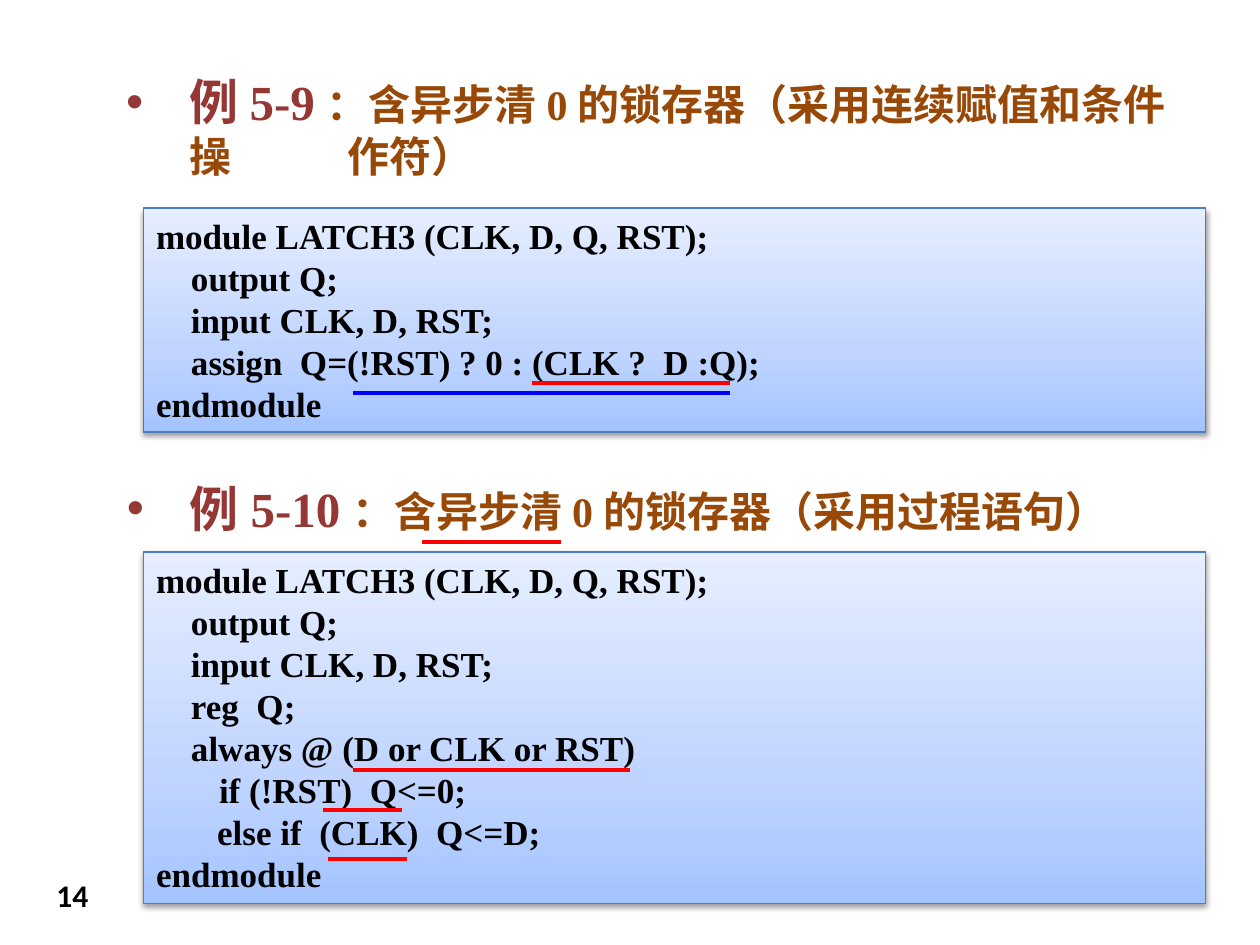
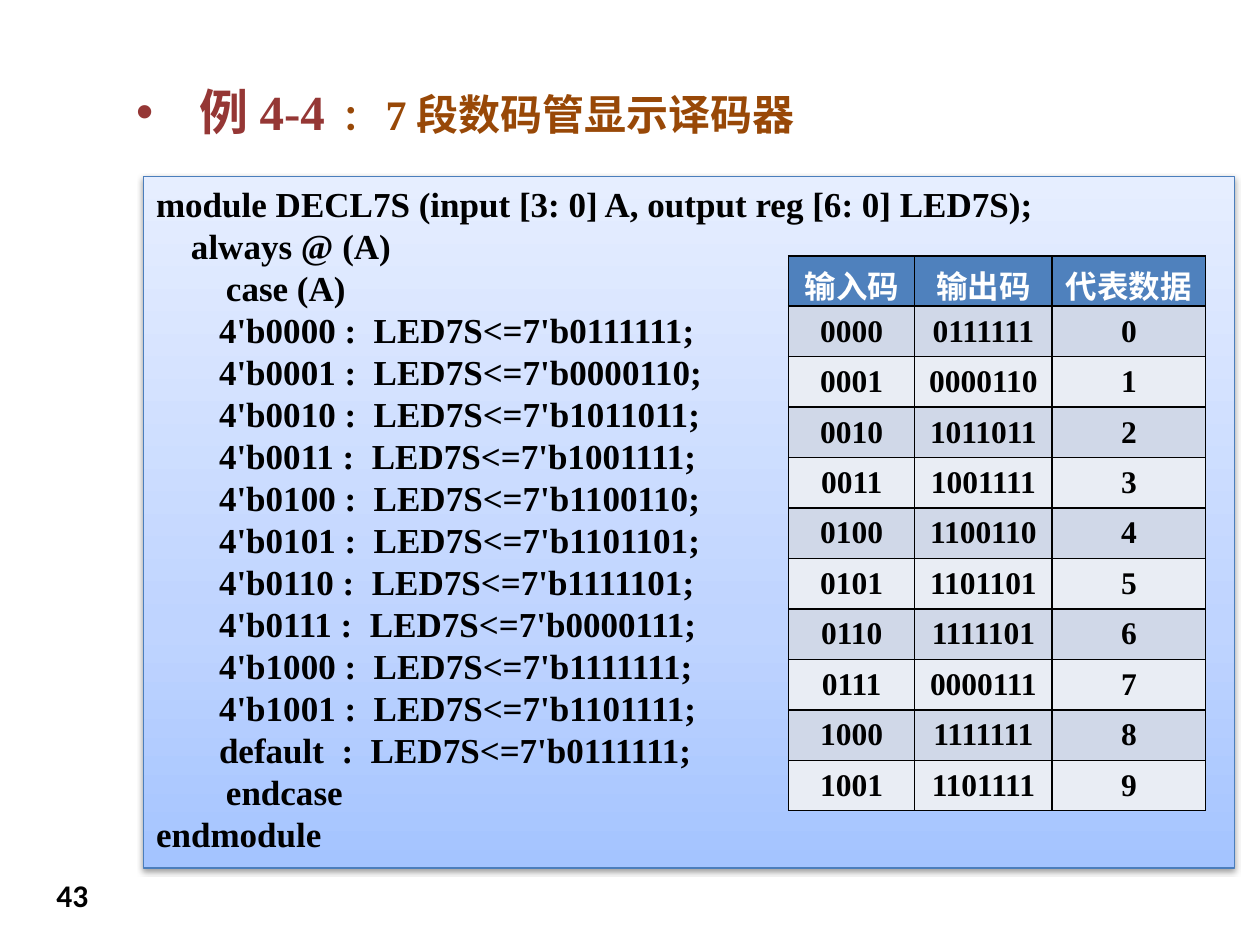
import copy

import lxml.etree
import pptx
import pptx.dml.color
import pptx.enum.shapes
import pptx.enum.text
import pptx.oxml.ns
import pptx.util

COLORS = {
    "label": "953735", "heading": "984807", "ink": "000000", "white": "FFFFFF",
    "red": "FF0000", "blue": "0000FF", "code_line": "4B7EBC",
    "header": "4F81BD", "band_dark": "D0D8E8", "band_light": "E9EDF4",
}
CODE_GRADIENT = [(0, "A4C4FF"), (0.35, "BFD4FF"), (1, "E6EEFF")]
SERIF = "Times New Roman"
SANS = "Calibri"
# The slide is a grid of 100 columns by 75 rows
COLUMNS, ROWS = 100, 75
CODE_LEFT = 11.4

LATCH_ASSIGN = [
    "module LATCH3 (CLK, D, Q, RST);",
    "    output Q;",
    "    input CLK, D, RST;",
    "    assign  Q=(!RST) ? 0 : (CLK ?  D :Q);",
    "endmodule",
]
LATCH_ALWAYS = LATCH_ASSIGN[:3] + [
    "    reg  Q;",
    "    always @ (D or CLK or RST)",
    "\tif (!RST)  Q<=0;",
    "       else if  (CLK)  Q<=D;",
    "endmodule",
]
# Seven-segment pattern of each digit from 0 to 9
SEGMENTS = ["0111111", "0000110", "1011011", "1001111", "1100110",
            "1101101", "1111101", "0000111", "1111111", "1101111"]
DECODER = [
    "module DECL7S (input [3: 0] A, output reg [6: 0] LED7S);",
    "    always @ (A)",
    "        case (A)",
    *[f"\t4'b{digit:04b} :  LED7S<=7'b{pattern};"
      for digit, pattern in enumerate(SEGMENTS)],
    "\tdefault  :  LED7S<=7'b0111111;",
    "        endcase",
    "endmodule",
]


def rgb(name):
    return pptx.dml.color.RGBColor.from_string(COLORS.get(name, name))


def child(parent, tag, **attributes):
    return lxml.etree.SubElement(parent, pptx.oxml.ns.qn(tag), attributes)


class Lesson:
    """Holds the shared style and the slide being filled."""

    def __init__(self):
        self.deck = pptx.Presentation()
        self.deck.slide_width = pptx.util.Inches(10)
        self.deck.slide_height = pptx.util.Inches(7.5)
        self.slide = None

    def x(self, columns):
        return round(self.deck.slide_width * columns / COLUMNS)

    def y(self, rows):
        return round(self.deck.slide_height * rows / ROWS)

    def area(self, left, top, width, height):
        return self.x(left), self.y(top), self.x(width), self.y(height)

    def new_slide(self, number):
        self.slide = self.deck.slides.add_slide(self.deck.slide_layouts[5])
        box = self.slide.shapes.add_textbox(*self.area(3.5, 69, 6.3, 4.5))
        self.span(box.text_frame.paragraphs[0], str(number), 18, "ink", SANS)

    def span(self, para, text, size, color, font=SERIF):
        span = para.add_run()
        span.text = text
        span.font.name = font
        span.font.size = pptx.util.Pt(size)
        span.font.bold = True
        span.font.color.rgb = rgb(color)

    def prepare_frame(self, frame):
        frame.word_wrap = True
        frame.auto_size = pptx.enum.text.MSO_AUTO_SIZE.NONE
        frame.vertical_anchor = pptx.enum.text.MSO_ANCHOR.TOP

    def heading(self, box, place, label, spans, tab=None):
        box.left, box.top, box.width, box.height = self.area(*place)
        self.prepare_frame(box.text_frame)
        para = box.text_frame.paragraphs[0]
        para.alignment = pptx.enum.text.PP_ALIGN.LEFT
        # Hanging bullet, with an optional tab stop
        properties = para._p.get_or_add_pPr()
        properties.set("marL", str(self.x(5)))
        properties.set("indent", str(-self.x(5)))
        child(child(properties, "a:buClr"), "a:srgbClr", val=COLORS["label"])
        child(properties, "a:buFont", typeface="Arial")
        child(properties, "a:buChar", char="•")
        if tab:
            child(child(properties, "a:tabLst"), "a:tab",
                  pos=str(self.x(tab)), algn="l")
        self.span(para, label, 28, "label")
        for text, size in spans:
            self.span(para, text, size, "heading")

    def title(self, place, label, spans, tab=None):
        self.heading(self.slide.shapes.title, place, label, spans, tab)

    def subheading(self, place, label, spans):
        box = self.slide.shapes.add_textbox(*self.area(*place))
        self.heading(box, place, label, spans)

    def code(self, top, width, height, lines):
        box = self.slide.shapes.add_shape(
            pptx.enum.shapes.MSO_SHAPE.RECTANGLE,
            *self.area(CODE_LEFT, top, width, height))
        box.line.color.rgb = rgb("code_line")
        box.line.width = pptx.util.Pt(0.75)
        # Gradient rising from the bottom edge
        box.fill.gradient()
        box.fill.gradient_angle = 90
        properties = box._element.spPr
        stops = properties.find(".//" + pptx.oxml.ns.qn("a:gsLst"))
        stops.append(copy.deepcopy(stops[0]))
        for stop, (position, color) in zip(box.fill.gradient_stops, CODE_GRADIENT):
            stop.position = position
            stop.color.rgb = rgb(color)
        # Soft shadow below
        box.shadow.inherit = False
        effects = properties.find(pptx.oxml.ns.qn("a:effectLst"))
        shadow = child(effects, "a:outerShdw", blurRad=str(pptx.util.Pt(3.1)),
                       dist=str(pptx.util.Pt(1.6)), dir="5400000", rotWithShape="0")
        child(child(shadow, "a:srgbClr", val=COLORS["ink"]), "a:alpha", val="38000")
        frame = box.text_frame
        self.prepare_frame(frame)
        for index, line in enumerate(lines):
            para = frame.add_paragraph() if index else frame.paragraphs[0]
            para.alignment = pptx.enum.text.PP_ALIGN.LEFT
            self.span(para, line, 20, "ink")

    def underline(self, left, right, row, color="red"):
        line = self.slide.shapes.add_connector(
            pptx.enum.shapes.MSO_CONNECTOR.STRAIGHT,
            self.x(left), self.y(row), self.x(right), self.y(row))
        line.line.color.rgb = rgb(color)
        line.line.width = pptx.util.Pt(2.25)
        child(line._element.spPr, "a:effectLst")

    def cell(self, cell, text, fill, color):
        cell.vertical_anchor = pptx.enum.text.MSO_ANCHOR.MIDDLE
        cell.fill.solid()
        cell.fill.fore_color.rgb = rgb(fill)
        properties = cell._tc.get_or_add_tcPr()
        for index, side in enumerate(("a:lnL", "a:lnR", "a:lnT", "a:lnB")):
            border = child(properties, side, w=str(pptx.util.Pt(1)))
            child(child(border, "a:solidFill"), "a:srgbClr", val=COLORS["ink"])
            properties.insert(index, border)
        para = cell.text_frame.paragraphs[0]
        para.alignment = pptx.enum.text.PP_ALIGN.CENTER
        self.span(para, text, 18, color)

    def table(self, left, top, widths, row_height, rows):
        place = self.area(left, top, sum(widths), row_height * len(rows))
        table = self.slide.shapes.add_table(len(rows), len(widths), *place).table
        for column, width in zip(table.columns, widths):
            column.width = self.x(width)
        for row_index, values in enumerate(rows):
            table.rows[row_index].height = self.y(row_height)
            band = "band_dark" if row_index % 2 else "band_light"
            fill, color = (band, "ink") if row_index else ("header", "white")
            for column_index, text in enumerate(values):
                self.cell(table.cell(row_index, column_index), text, fill, color)


def build_latches(lesson):
    lesson.new_slide(14)
    lesson.title((9, 5.2, 86.6, 13.5), "例5-9",
                 [("：含异步清0的锁存器（采用连续赋值和条件操\t作符）", 24)], tab=17.6)
    lesson.code(16.5, 84.3, 17.8, LATCH_ASSIGN)
    lesson.subheading((9.1, 37.5, 86.6, 9.4), "例5-10",
                      [("：含异步清0的锁存器（采用过程语句）", 24)])
    lesson.code(43.8, 84.3, 27.9, LATCH_ALWAYS)
    # Marks under the conditional expressions
    lesson.underline(42.2, 57.9, 30.4)
    lesson.underline(28, 57.9, 31.2, "blue")
    # Marks under the sensitivity list, both conditions and the heading
    for left, right, row in [(28, 50, 61.1), (25.6, 31.9, 64.3),
                             (26, 32.3, 68.2), (33.5, 44.5, 43)]:
        lesson.underline(left, right, row)


def build_decoder(lesson):
    lesson.new_slide(43)
    lesson.title((9.8, 6, 83.5, 9.4), "例4-4",
                 [(" ：", 20), ("7段数码管显示译码器", 24)])
    lesson.code(14, 86.6, 54.9, DECODER)
    # Truth table
    rows = [("输入码", "输出码", "代表数据")]
    rows += [(f"{digit:04b}", pattern, str(digit))
             for digit, pattern in enumerate(SEGMENTS)]
    lesson.table(62.6, 20.3, (10, 10.9, 12.2), 4, rows)


def main():
    lesson = Lesson()
    build_latches(lesson)
    build_decoder(lesson)
    lesson.deck.save("out.pptx")


if __name__ == "__main__":
    main()
